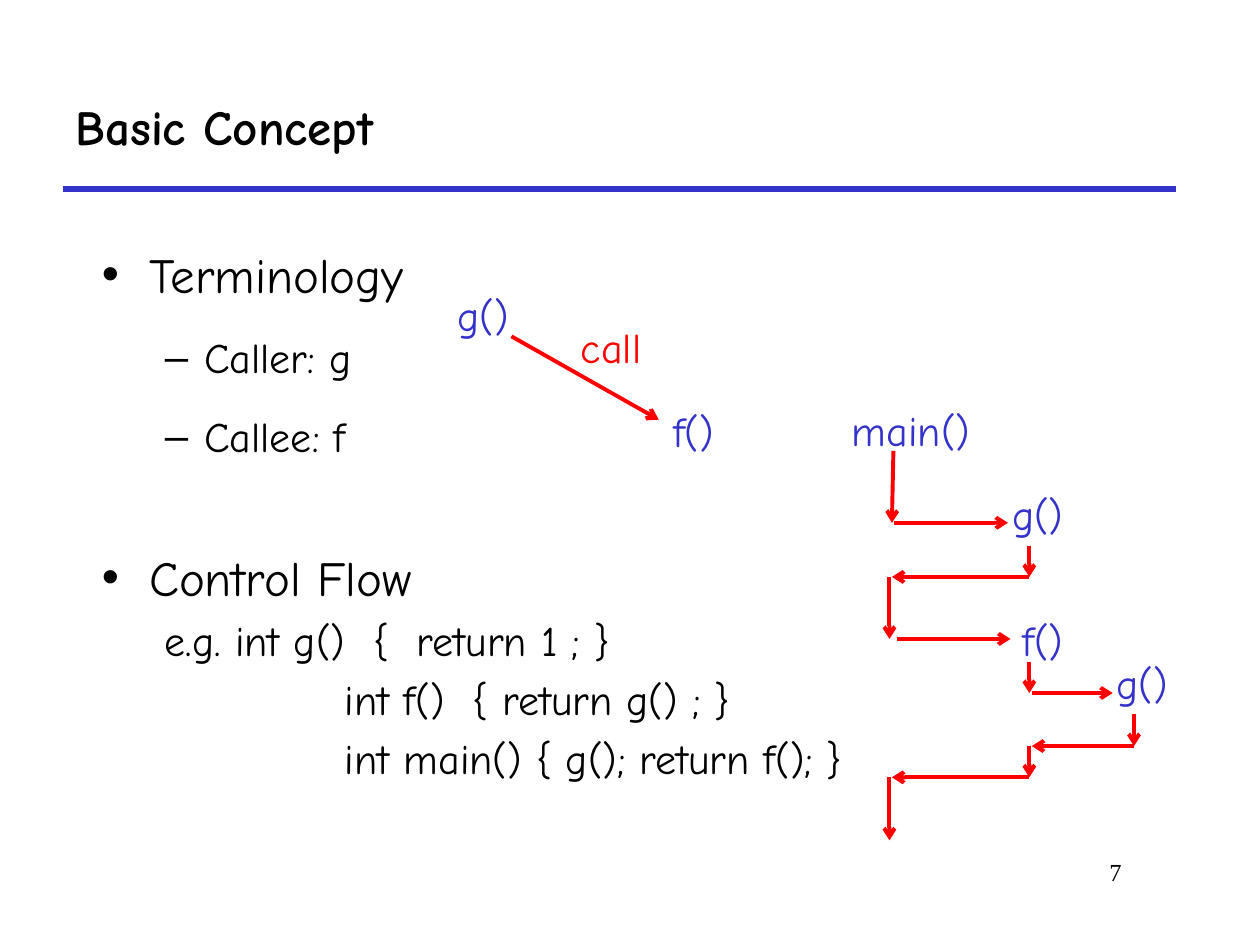
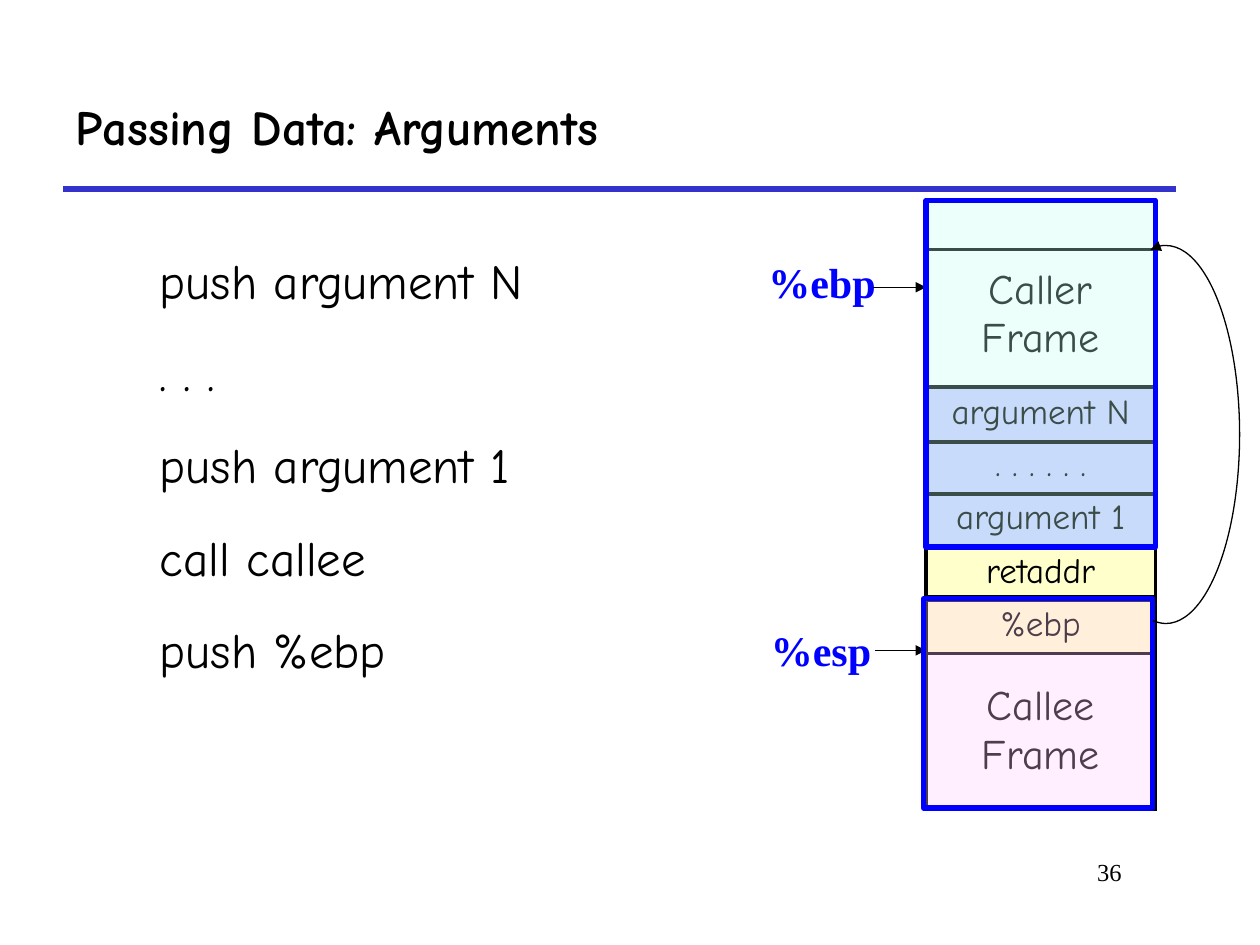
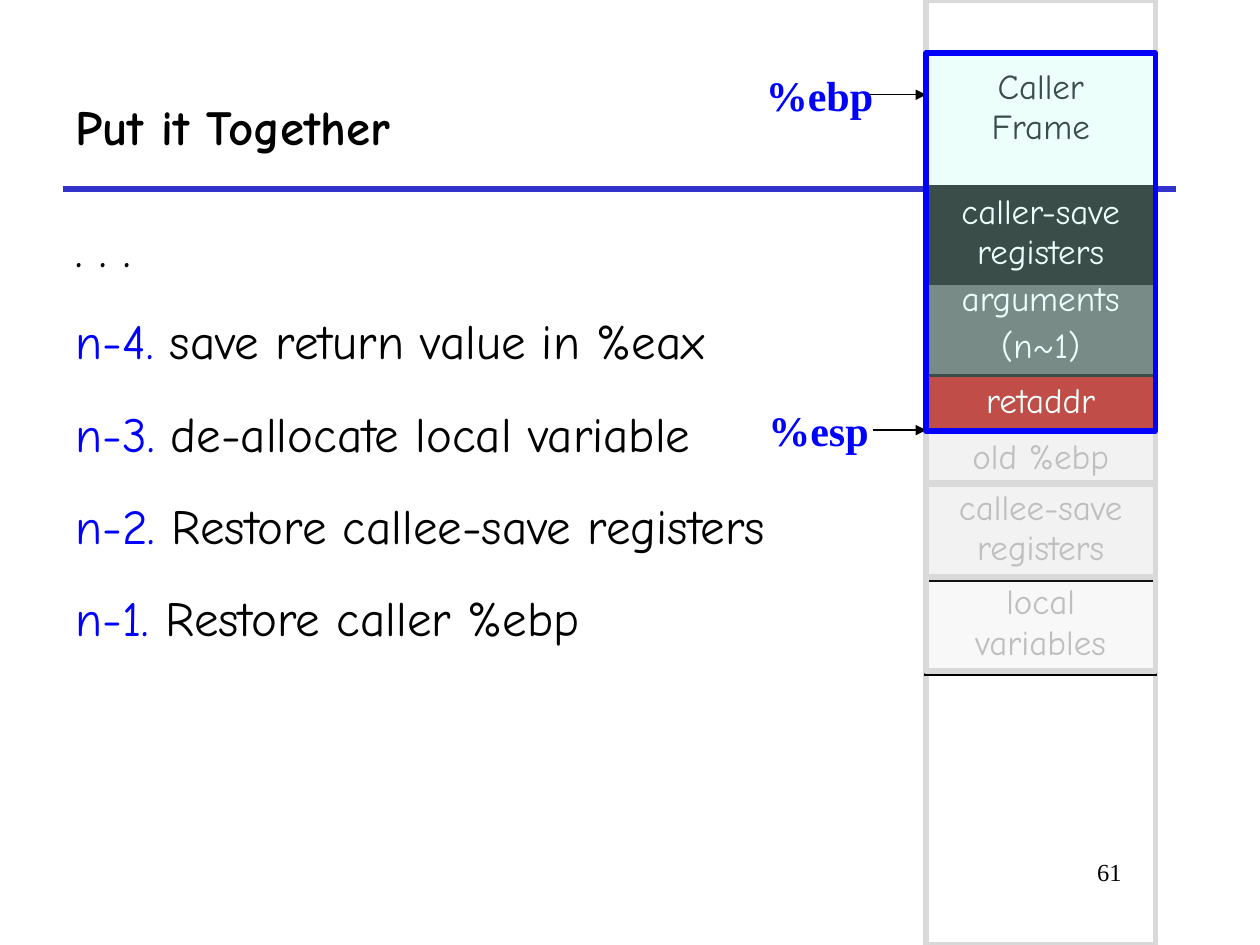
"""Build three slides on procedure calls and stack frames."""
from dataclasses import dataclass

from lxml.etree import SubElement
from pptx import Presentation
from pptx.dml.color import RGBColor
from pptx.enum.shapes import MSO_CONNECTOR as Connector, MSO_SHAPE as Preset
from pptx.enum.text import MSO_ANCHOR as Anchor, MSO_AUTO_SIZE as AutoSize, PP_ALIGN as Align
from pptx.oxml.ns import qn
from pptx.util import Cm, Pt

HAND, SERIF = "Comic Neue", "Times New Roman"
BLACK, WHITE, RED = "000000", "FFFFFF", "FF0000"
INDIGO, BLUE = "3333CC", "0000FF"
MINT, PINK, LILAC, CREAM = "C2FFF0", "FFCCFF", "CCCCFF", "FFFFCC"
PALE, MID, FADED, CHARCOAL, BRICK = "F2F2F2", "D9D9D9", "BFBFBF", "595959", "C00000"
STACK_LEFT, STACK_WIDTH, SLOT = 18.67, 4.62, 1.09


@dataclass
class Item:
    text: str
    size: float = 28
    level: int = 0
    margin: float = 0
    indent: float = 0
    bullet: str = ""
    spacing: float = 1.4
    before: float | None = None
    lead: str = ""


@dataclass
class Label:
    text: str
    left: float
    top: float
    width: float
    color: str = INDIGO


@dataclass
class Arrow:
    x1: float
    y1: float
    x2: float
    y2: float


@dataclass
class Slot:
    text: str
    top: float
    height: float = SLOT
    fill: str = ""
    color: str = BLACK
    size: float = 20
    margin_top: float = 0.13
    opacity: int = 100


@dataclass
class Frame:
    top: float
    height: float
    line: str = MID
    fill: str = ""
    left: float = STACK_LEFT


@dataclass
class Pointer:
    text: str
    left: float
    top: float
    arrow_y: float


def rgb(value: str) -> RGBColor:
    """Turn a hex string into a colour."""
    return RGBColor.from_string(value)


def place(shape, left: float, top: float, width: float, height: float) -> None:
    """Move and size a shape, in centimetres."""
    shape.left, shape.top, shape.width, shape.height = map(Cm, (left, top, width, height))


def format_runs(paragraph, size: float, color: str = BLACK, font: str = HAND, bold: bool = False) -> None:
    """Give every run of a paragraph the same font."""
    for run in paragraph.runs:
        run.font.name, run.font.size, run.font.bold = font, Pt(size), bold
        run.font.color.rgb = rgb(color)


def paint(fill, element, color: str, opacity: int = 100) -> None:
    """Fill with a colour, or with nothing when the colour is empty."""
    if not color:
        fill.background()
        return
    fill.solid()
    fill.fore_color.rgb = rgb(color)
    if opacity < 100:
        solid = element.find(qn("a:solidFill"))
        SubElement(solid[0], qn("a:alpha"), val=str(opacity * 1000))


def add_line(slide, arrow: Arrow, color: str, width: float, tail: str = "") -> None:
    """Draw a straight line with an optional arrowhead at its end."""
    ends = map(Cm, (arrow.x1, arrow.y1, arrow.x2, arrow.y2))
    connector = slide.shapes.add_connector(Connector.STRAIGHT, *ends)
    connector.line.color.rgb = rgb(color)
    connector.line.width = Pt(width)
    properties = connector._element.spPr
    if tail:
        SubElement(properties.find(qn("a:ln")), qn("a:tailEnd"), type=tail)
    SubElement(properties, qn("a:effectLst"))


def add_text(slide, label: Label, align: Align = Align.CENTER, size: float = 24,
             font: str = HAND, bold: bool = False) -> None:
    """Add a one-line text box."""
    box = slide.shapes.add_textbox(*map(Cm, (label.left, label.top, label.width, 1.28)))
    box.text_frame.word_wrap = True
    box.text_frame.text = label.text
    paragraph = box.text_frame.paragraphs[0]
    paragraph.alignment = align
    format_runs(paragraph, size, label.color, font, bold)


def add_item(paragraph, item: Item) -> None:
    """Write one list paragraph with its bullet, indents and spacing."""
    paragraph.level = item.level
    properties = paragraph._p.get_or_add_pPr()
    properties.set("marL", str(Cm(item.margin)))
    properties.set("indent", str(Cm(item.indent)))
    if item.bullet:
        SubElement(properties, qn("a:buChar"), char=item.bullet)
    else:
        SubElement(properties, qn("a:buNone"))
    paragraph.line_spacing = item.spacing
    if item.before is not None:
        paragraph.space_before = Pt(item.before)
    paragraph.text = item.lead or item.text
    if item.lead:
        paragraph.add_run().text = item.text
    format_runs(paragraph, item.size)
    if item.lead:
        paragraph.runs[0].font.color.rgb = rgb(BLUE)


def add_page(presentation, title: str, number: str, area: tuple, items: list[Item]):
    """Start a slide with its title, rule, page number and list."""
    slide = presentation.slides.add_slide(presentation.slide_layouts[1])
    add_line(slide, Arrow(1.27, 3.81, 23.7, 3.81), INDIGO, 3)
    heading, body = slide.placeholders
    place(heading, 1.27, 1.27, 22.43, 2.54)
    heading.text_frame.text = title
    heading.text_frame.vertical_anchor = Anchor.MIDDLE
    heading.text_frame.auto_size = AutoSize.NONE
    heading.text_frame.paragraphs[0].alignment = Align.LEFT
    format_runs(heading.text_frame.paragraphs[0], 28, bold=True)
    place(body, *area)
    frame = body.text_frame
    frame.auto_size = AutoSize.NONE
    for index, item in enumerate(items):
        add_item(frame.add_paragraph() if index else frame.paragraphs[0], item)
    frame.paragraphs[0].space_before = Pt(0)
    add_text(slide, Label(number, 19.25, 17.15, 3.61, BLACK), Align.RIGHT, 14, SERIF)
    return slide


def add_slot(slide, slot: Slot) -> None:
    """Add one stack slot as a bordered single-cell table."""
    area = map(Cm, (STACK_LEFT, slot.top, STACK_WIDTH, slot.height))
    table = slide.shapes.add_table(1, 1, *area).table
    table.first_row = table.horz_banding = False
    cell = table.cell(0, 0)
    cell.margin_left = cell.margin_right = Cm(0.25)
    cell.margin_top, cell.margin_bottom = Cm(slot.margin_top), Cm(0.13)
    properties = cell._tc.get_or_add_tcPr()
    for side in ("lnL", "lnR", "lnT", "lnB"):
        border = SubElement(properties, qn(f"a:{side}"), w=str(Pt(2.25)))
        SubElement(SubElement(border, qn("a:solidFill")), qn("a:srgbClr"), val=BLACK)
    paint(cell.fill, properties, slot.fill, slot.opacity)
    paragraph = cell.text_frame.paragraphs[0]
    paragraph.text = slot.text
    paragraph.alignment = Align.CENTER
    format_runs(paragraph, slot.size, slot.color)
    if slot.text == "arguments":
        second = cell.text_frame.add_paragraph()
        second.text = "(n~1)"
        second.alignment = Align.CENTER
        second.space_before = Pt(slot.size * 0.2)
        format_runs(second, slot.size, slot.color)


def add_frame(slide, frame: Frame) -> None:
    """Outline part of the stack, with an optional see-through tint."""
    area = map(Cm, (frame.left, frame.top, STACK_WIDTH, frame.height))
    shape = slide.shapes.add_shape(Preset.RECTANGLE, *area)
    shape.shadow.inherit = False
    paint(shape.fill, shape._element.spPr, frame.fill, 30)
    shape.line.color.rgb = rgb(frame.line)
    shape.line.width = Pt(3)


def add_pointer(slide, pointer: Pointer) -> None:
    """Add a register name with an arrow to the stack."""
    label = Label(pointer.text, pointer.left, pointer.top, 3, BLUE)
    add_text(slide, label, Align.LEFT, font=SERIF, bold=True)
    arrow = Arrow(pointer.left + 2.35, pointer.arrow_y, STACK_LEFT, pointer.arrow_y)
    add_line(slide, arrow, BLACK, 0.75, "triangle")


def add_saved_link(slide) -> None:
    """Draw the arc from the saved register back to the caller frame."""
    arc = slide.shapes.add_shape(Preset.ARC, Cm(22.02), Cm(4.95), Cm(2.97), Cm(7.62))
    arc.adjustments[0], arc.adjustments[1] = 159.12, 56.43
    arc.shadow.inherit = False
    arc.fill.background()
    arc.line.color.rgb = rgb(BLACK)
    arc.line.width = Pt(0.75)
    SubElement(arc._element.spPr.find(qn("a:ln")), qn("a:headEnd"), type="triangle")


def topic(text: str, before: float | None = None) -> Item:
    """Describe a first-level bullet."""
    return Item(text, 28, 0, 0.95, -0.95, "•", before=before)


def term(text: str) -> Item:
    """Describe a second-level dash."""
    return Item(text, 24, 1, 2.06, -0.79, "–")


def code(text: str, margin: float = 4.9, indent: float = 0) -> Item:
    """Describe a line of code."""
    return Item(text, 24, 1, margin, indent, spacing=1)


def build_concept(presentation) -> None:
    """Build the slide on callers, callees and control flow."""
    slide = add_page(presentation, "Basic Concept", "7", (1.8, 4.32, 22.66, 12.9), [
        topic("Terminology"), term("Caller: g"), term("Callee: f"),
        topic("Control Flow", 36),
        code("e.g. int g()  {  return 1 ; }", 2.06, -0.79),
        code("int f()  { return g() ; }"),
        code("int main() { g(); return f(); }"),
    ])
    for label in (
        Label("g()", 8.89, 5.72, 1.7), Label("f()", 13.13, 8.05, 1.7),
        Label("call", 10.95, 6.35, 2.74, RED), Label("main()", 16.56, 8.03, 3.61),
        Label("g()", 20.02, 9.73, 1.8), Label("f()", 20.12, 12.27, 1.8),
        Label("g()", 22.12, 13.13, 1.8),
    ):
        add_text(slide, label)
    main_x, callee_x, nested_x = 17.93, 20.75, 22.86
    for arrow in (
        Arrow(10.31, 6.78, 13.28, 8.46),
        Arrow(18.01, 9.09, 17.98, 10.54),
        Arrow(18.03, 10.54, 20.32, 10.54),
        Arrow(callee_x, 11, callee_x, 11.63),
        Arrow(callee_x, 11.63, 17.98, 11.63),
        Arrow(main_x, 11.63, main_x, 12.88),
        Arrow(18.08, 12.88, 20.37, 12.88),
        Arrow(callee_x, 13.34, callee_x, 13.97),
        Arrow(20.8, 13.97, 22.43, 13.97),
        Arrow(nested_x, 14.4, nested_x, 15.04),
        Arrow(nested_x, 15.04, 20.8, 15.04),
        Arrow(callee_x, 15.04, callee_x, 15.67),
        Arrow(callee_x, 15.67, 17.98, 15.67),
        Arrow(main_x, 15.67, main_x, 16.94),
    ):
        add_line(slide, arrow, RED, 2.25, "arrow")


def build_arguments(presentation) -> None:
    """Build the slide on passing arguments."""
    steps = ("push argument N", ". . .", "push argument 1", "call callee", "push %ebp")
    slide = add_page(presentation, "Passing Data: Arguments", "36",
                     (2.97, 4.45, 21.59, 12.27), [Item(step) for step in steps])
    add_slot(slide, Slot("%ebp", 12.07, fill=CREAM))
    for index, text in enumerate(("argument 1", ". . . . . .", "argument N")):
        add_slot(slide, Slot(text, 9.9 - 1.05 * index, fill=LILAC))
    add_pointer(slide, Pointer("%ebp", 15.24, 5.05, 5.79))
    add_pointer(slide, Pointer("%esp", 15.29, 12.47, 13.11))
    add_slot(slide, Slot("retaddr", 11, fill=CREAM))
    add_slot(slide, Slot("Caller\nFrame", 5.03, 6.99, size=24, margin_top=0.35))
    add_frame(slide, Frame(4.04, 6.99, BLUE, MINT))
    add_slot(slide, Slot("Callee\nFrame", 12.07, 4.24, size=24, margin_top=1.7))
    add_frame(slide, Frame(12.07, 4.22, BLUE, PINK, 18.62))
    add_saved_link(slide)


def build_together(presentation) -> None:
    """Build the slide on the callee's last steps."""
    steps = ("save return value in %eax", "de-allocate local variable",
             "Restore callee-save registers", "Restore caller %ebp")
    items = [Item(step, lead=f"n-{4 - index}. ") for index, step in enumerate(steps)]
    slide = add_page(presentation, "Put it Together", "61",
                     (1.27, 3.81, 24.13, 14.17), [Item(". . ."), *items])
    add_frame(slide, Frame(0, 19.05))
    for slot in (
        Slot("arguments", 5.51, 2.11, CHARCOAL, WHITE),
        Slot("caller-save registers", 3.76, 1.96, BLACK, WHITE),
        Slot("old %ebp", 8.69, fill=PALE, color=FADED),
        Slot("retaddr", 7.57, fill=BRICK, color=WHITE),
        Slot("Caller\nFrame", 1.07, 7.62, margin_top=0.3),
        Slot("callee-save registers", 9.73, 1.96, PALE, FADED),
        Slot("local variables", 11.63, 1.96, FADED, FADED, opacity=10),
    ):
        add_slot(slide, slot)
    add_frame(slide, Frame(11.63, 1.9))
    add_frame(slide, Frame(9.73, 1.9))
    add_pointer(slide, Pointer("%ebp", 15.19, 1.27, 1.91))
    add_pointer(slide, Pointer("%esp", 15.24, 8.03, 8.67))
    add_frame(slide, Frame(8.69, 1.07))
    add_frame(slide, Frame(1.07, 7.62, BLUE, MINT))


def main() -> None:
    """Build and save the presentation."""
    presentation = Presentation()
    presentation.slide_width, presentation.slide_height = Cm(25.4), Cm(19.05)
    build_concept(presentation)
    build_arguments(presentation)
    build_together(presentation)
    presentation.save("out.pptx")


if __name__ == "__main__":
    main()
